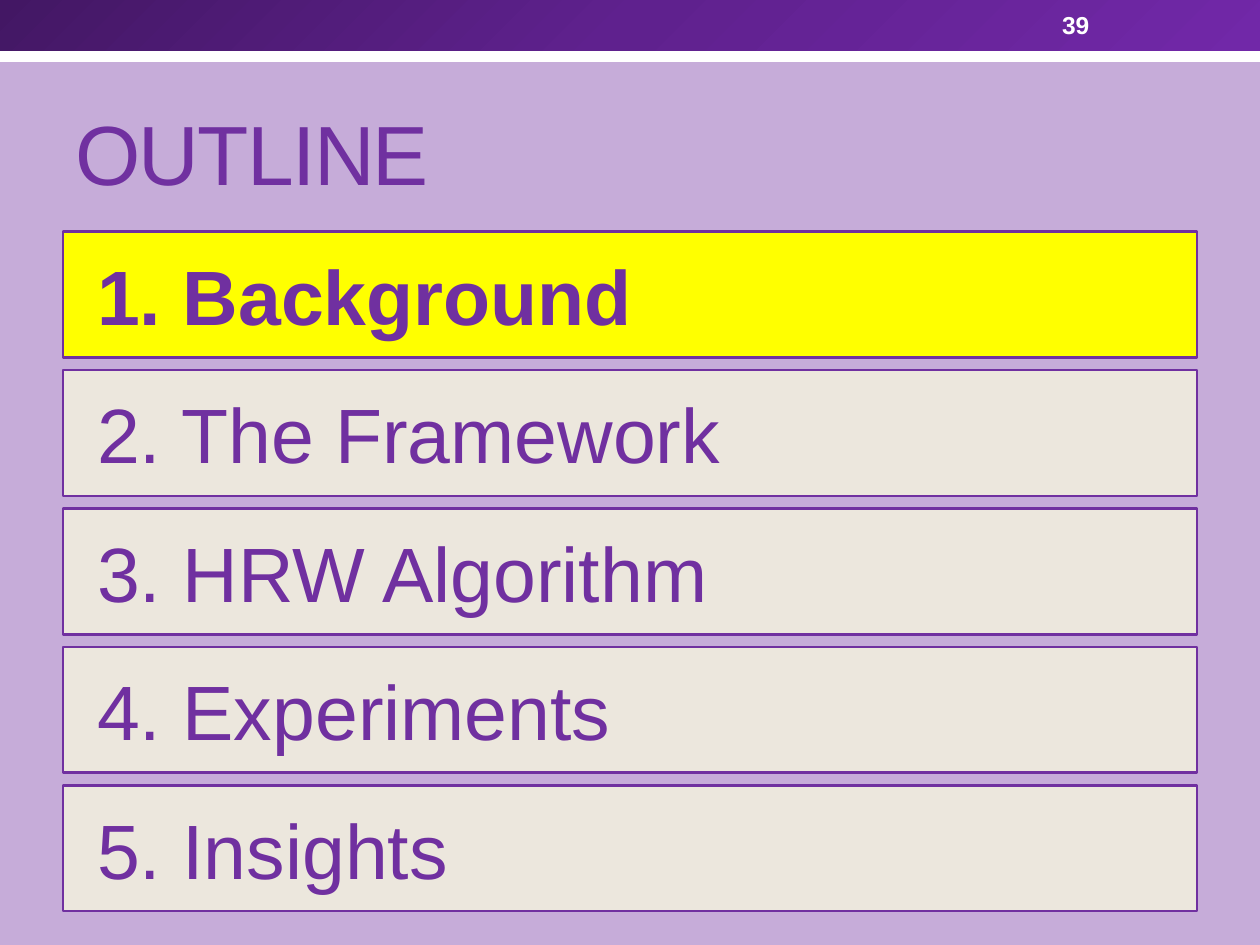
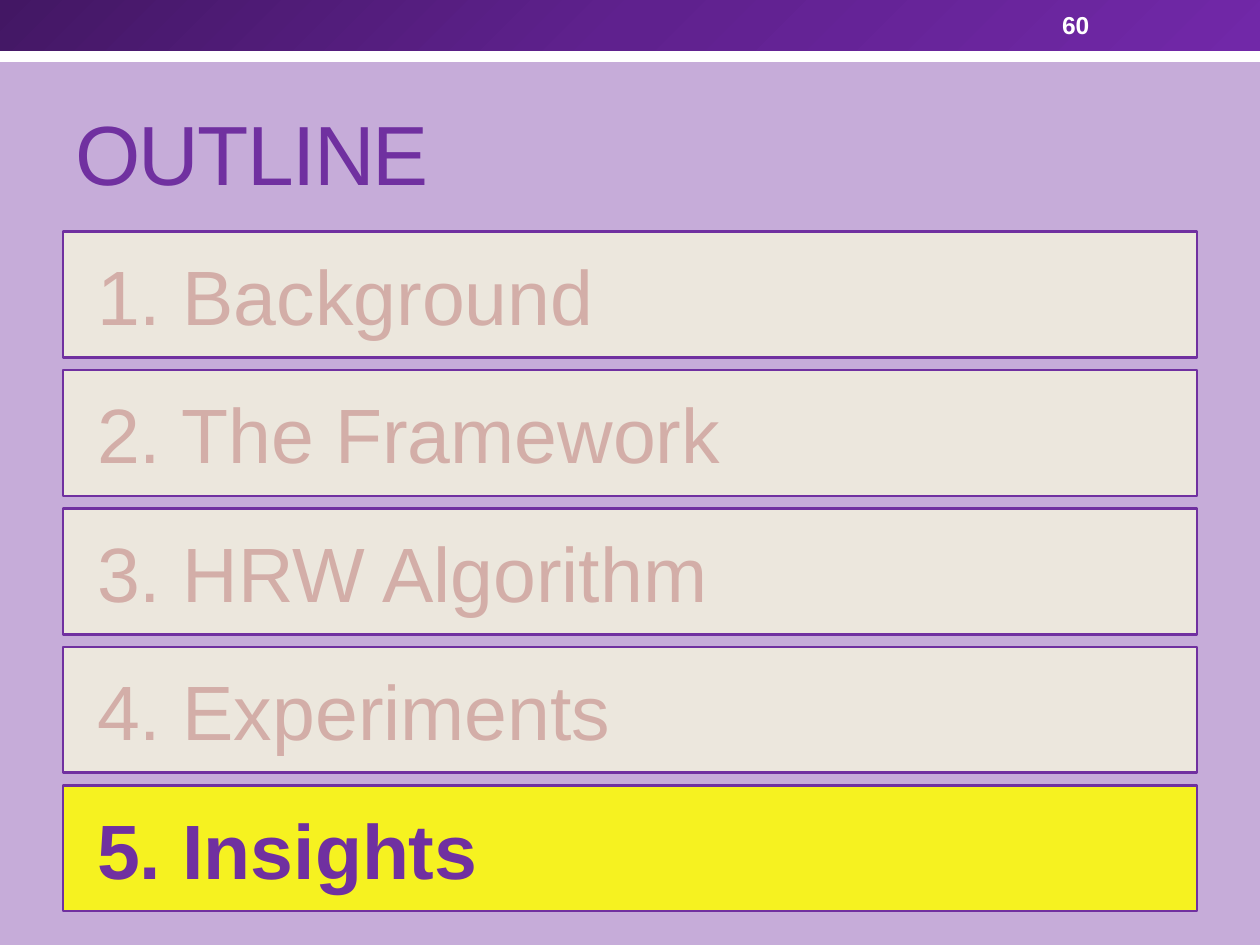
from copy import deepcopy

from lxml.etree import SubElement
from pptx import Presentation
from pptx.dml.color import RGBColor
from pptx.enum.shapes import MSO_SHAPE as Shape
from pptx.enum.text import MSO_ANCHOR as Anchor, PP_ALIGN as Align
from pptx.oxml.ns import qn
from pptx.util import Cm, Pt

COLORS = {
    "purple": "7030A0",
    "lilac": "C6ACD9",
    "white": "FFFFFF",
    "yellow": "FFFF00",
    "cream": "F3F2DE",
    "faded": "D3AEA8",
}
BAND_STOPS = [(0, "431764"), (0.5, "5F218E"), (1, "7128A8")]
TOPICS = ["Background", "The Framework", "HRW Algorithm", "Experiments", "Insights"]


def rgb(name):
    return RGBColor.from_string(COLORS[name])


class OutlineDeck:
    font = "Arial"
    item_left, item_top, item_width, item_height, item_pitch = 1.27, 4.67, 22.86, 2.54, 2.79

    def __init__(self):
        self.deck = Presentation()
        self.deck.slide_width, self.deck.slide_height = Cm(25.4), Cm(19.05)
        self.page = None

    def new_page(self, number):
        self.page = self.deck.slides.add_slide(self.deck.slide_layouts[6])
        background = self.page.background.fill
        background.solid()
        background.fore_color.rgb = rgb("lilac")
        self.rectangle(0, 0.61, 25.4, 0.64, "white")
        self.gradient_band(0, 0, 25.4, 1.02)
        self.text(21.16, 0.05, 2.97, 0.91, str(number), 14, "white", Anchor.MIDDLE, bold=True)
        self.text(1.27, 1.47, 22.86, 2.74, "OUTLINE", 48, "purple", Anchor.BOTTOM, spacing=-100)

    def rectangle(self, left, top, width, height, color, opacity=100, outline=None):
        box = self.page.shapes.add_shape(Shape.RECTANGLE, Cm(left), Cm(top), Cm(width), Cm(height))
        box.shadow.inherit = False
        box.fill.solid()
        box.fill.fore_color.rgb = rgb(color)
        if opacity < 100:
            tint = box._element.spPr.find(f"{qn('a:solidFill')}/{qn('a:srgbClr')}")
            SubElement(tint, qn("a:alpha"), val=str(opacity * 1000))
        if outline:
            box.line.color.rgb = rgb(outline)
            box.line.width = Pt(1.5)
        else:
            box.line.fill.background()
        return box

    def gradient_band(self, left, top, width, height):
        band = self.rectangle(left, top, width, height, "purple")
        band.fill.gradient()
        band.fill.gradient_angle = 315
        stop_list = band._element.spPr.find(f"{qn('a:gradFill')}/{qn('a:gsLst')}")
        stop_list.insert(1, deepcopy(stop_list[0]))
        for stop, (position, color) in zip(band.fill.gradient_stops, BAND_STOPS):
            stop.position = position
            stop.color.rgb = RGBColor.from_string(color)

    def put_text(self, box, text, size, color, anchor, bold=False):
        frame = box.text_frame
        frame.word_wrap = True
        frame.vertical_anchor = anchor
        para = frame.paragraphs[0]
        para.alignment = Align.LEFT
        para.text = text
        para.font.name = self.font
        para.font.size = Pt(size)
        para.font.bold = bold
        para.font.color.rgb = rgb(color)
        return para

    def text(self, left, top, width, height, text, size, color, anchor, bold=False, spacing=0):
        box = self.page.shapes.add_textbox(Cm(left), Cm(top), Cm(width), Cm(height))
        para = self.put_text(box, text, size, color, anchor, bold)
        if spacing:
            para.runs[0]._r.get_or_add_rPr().set("spc", str(spacing))

    def topic(self, number, name, text_color, fill, opacity, bold):
        top = self.item_top + (number - 1) * self.item_pitch
        box = self.rectangle(self.item_left, top, self.item_width, self.item_height,
                             fill, opacity, "purple")
        box.text_frame.margin_left = Cm(0.69)
        self.put_text(box, f"{number}. {name}", 44, text_color, Anchor.MIDDLE, bold)

    def outline(self, page_number, current, other_color, highlight_opacity):
        self.new_page(page_number)
        for number, name in enumerate(TOPICS, 1):
            if number == current:
                self.topic(number, name, "purple", "yellow", highlight_opacity, True)
            else:
                self.topic(number, name, other_color, "cream", 85, False)


def main():
    outline_deck = OutlineDeck()
    outline_deck.outline(39, current=1, other_color="purple", highlight_opacity=100)
    outline_deck.outline(60, current=5, other_color="faded", highlight_opacity=85)
    outline_deck.deck.save("out.pptx")


if __name__ == "__main__":
    main()
